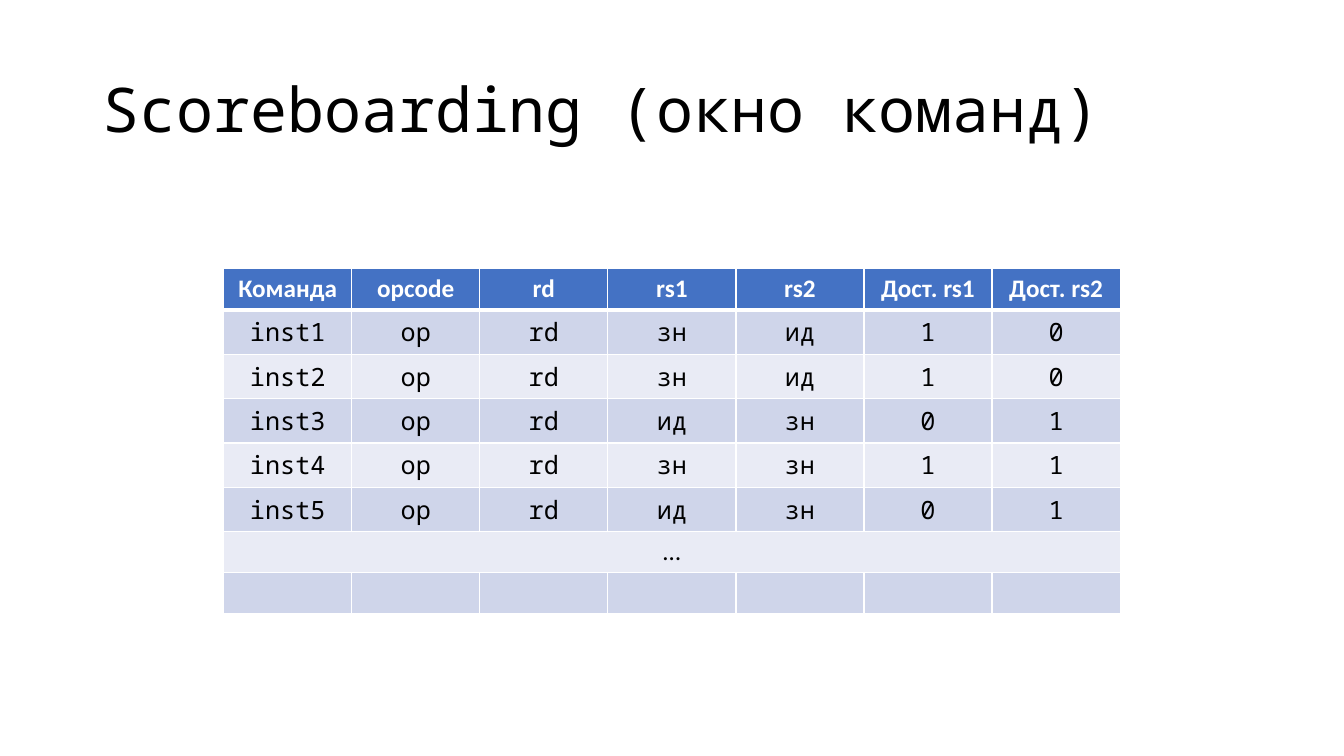
"""Build the slide that shows the scoreboarding instruction window."""
from dataclasses import dataclass

from lxml import etree
from pptx import Presentation
from pptx.dml.color import RGBColor
from pptx.enum.text import MSO_ANCHOR, MSO_AUTO_SIZE, PP_ALIGN
from pptx.oxml.ns import qn
from pptx.util import Emu, Pt

MIDDLE = MSO_ANCHOR.MIDDLE
NO_AUTOFIT = MSO_AUTO_SIZE.NONE
LEFT = PP_ALIGN.LEFT
CENTER = PP_ALIGN.CENTER

EMU_PER_PX = 9525
TITLE_ONLY = 5
COLUMN_WIDTH = 122
ROW_HEIGHT = 39

HEADER = ["Команда", "opcode", "rd", "rs1", "rs2", "Дост. rs1", "Дост. rs2"]
INSTRUCTIONS = [
    ["inst1", "op", "rd", "зн", "ид", "1", "0"],
    ["inst2", "op", "rd", "зн", "ид", "1", "0"],
    ["inst3", "op", "rd", "ид", "зн", "0", "1"],
    ["inst4", "op", "rd", "зн", "зн", "1", "1"],
    ["inst5", "op", "rd", "ид", "зн", "0", "1"],
]
ELLIPSIS = "…"


@dataclass(frozen=True)
class Theme:
    """Hold the colours, fonts and sizes of the slide."""
    text: str = "000000"
    header_text: str = "FFFFFF"
    header_fill: str = "4472C4"
    bands: tuple = ("CFD5EA", "E9EBF5")
    border: str = "FFFFFF"
    thin_line: int = 1
    thick_line: int = 3
    mono: str = "Noto Sans Mono"
    sans: str = "Calibri"
    title_size: int = 44
    cell_size: int = 18


THEME = Theme()


def px(length):
    """Turn pixels into EMU."""
    return Emu(length * EMU_PER_PX)


def format_runs(paragraph, font_name, size, color, bold=False):
    """Format every run of a paragraph."""
    for run in paragraph.runs:
        run.font.name = font_name
        run.font.size = Pt(size)
        run.font.bold = bold
        run.font.color.rgb = RGBColor.from_string(color)


def set_title(slide, text, left, top, width, height):
    """Place and format the title placeholder."""
    title = slide.shapes.title
    title.left, title.top = px(left), px(top)
    title.width, title.height = px(width), px(height)
    frame = title.text_frame
    frame.text = text
    frame.word_wrap = True
    frame.auto_size = NO_AUTOFIT
    frame.vertical_anchor = MIDDLE
    paragraph = frame.paragraphs[0]
    paragraph.alignment = LEFT
    paragraph.line_spacing = 0.9
    format_runs(paragraph, THEME.mono, THEME.title_size, THEME.text)


def set_borders(cell, top, bottom):
    """Draw the four borders of a cell, with top and bottom widths in points."""
    properties = cell._tc.get_or_add_tcPr()
    widths = {"lnL": THEME.thin_line, "lnR": THEME.thin_line, "lnT": top, "lnB": bottom}
    for tag, width in widths.items():
        line = etree.SubElement(properties, qn(f"a:{tag}"), w=str(Pt(width)))
        fill = etree.SubElement(line, qn("a:solidFill"))
        etree.SubElement(fill, qn("a:srgbClr"), val=THEME.border)


def style_cell(cell, row_index):
    """Give a cell the borders, fill and text format of its row."""
    is_header = row_index == 0
    top = THEME.thick_line if row_index == 1 else THEME.thin_line
    set_borders(cell, top, THEME.thick_line if is_header else THEME.thin_line)
    fill = THEME.header_fill if is_header else THEME.bands[(row_index - 1) % 2]
    cell.fill.solid()
    cell.fill.fore_color.rgb = RGBColor.from_string(fill)
    cell.vertical_anchor = MIDDLE
    paragraph = cell.text_frame.paragraphs[0]
    paragraph.alignment = CENTER
    use_sans = is_header or cell.text == ELLIPSIS
    font_name = THEME.sans if use_sans else THEME.mono
    color = THEME.header_text if is_header else THEME.text
    format_runs(paragraph, font_name, THEME.cell_size, color, bold=is_header)


def add_instruction_table(slide, left, top):
    """Add the instruction window with its ellipsis row and empty last row."""
    column_count = len(HEADER)
    empty_row = [""] * column_count
    ellipsis_row = [ELLIPSIS] + empty_row[1:]
    rows = [HEADER, *INSTRUCTIONS, ellipsis_row, empty_row]
    frame = slide.shapes.add_table(
        len(rows), column_count, px(left), px(top),
        px(COLUMN_WIDTH * column_count), px(ROW_HEIGHT * len(rows)))
    table = frame.table
    for column in table.columns:
        column.width = px(COLUMN_WIDTH)
    for row_index, values in enumerate(rows):
        table.rows[row_index].height = px(ROW_HEIGHT)
        for column_index, value in enumerate(values):
            cell = table.cell(row_index, column_index)
            cell.text = value
            style_cell(cell, row_index)
    ellipsis_index = rows.index(ellipsis_row)
    table.cell(ellipsis_index, 0).merge(table.cell(ellipsis_index, column_count - 1))


def main():
    """Build and save the presentation."""
    presentation = Presentation()
    presentation.slide_width, presentation.slide_height = px(1280), px(720)
    slide = presentation.slides.add_slide(presentation.slide_layouts[TITLE_ONLY])
    set_title(slide, "Scoreboarding (окно команд)", 88, 38, 1104, 139)
    add_instruction_table(slide, 213, 256)
    presentation.save("out.pptx")


if __name__ == "__main__":
    main()
